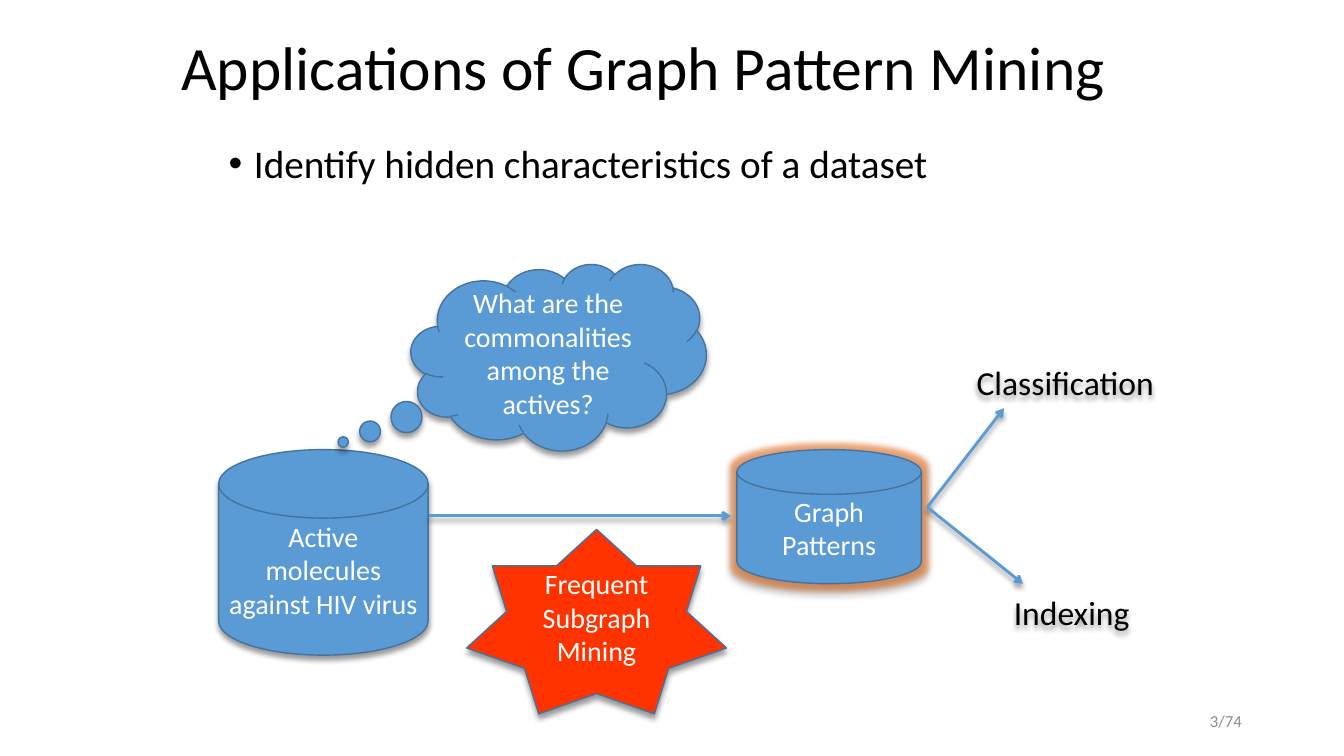
from lxml.etree import SubElement
from pptx import Presentation
from pptx.dml.color import RGBColor
from pptx.enum.shapes import MSO_CONNECTOR, MSO_SHAPE
from pptx.enum.text import MSO_ANCHOR as Anchor, PP_ALIGN as Align
from pptx.oxml.ns import qn
from pptx.util import Cm, Pt

BLACK = RGBColor(0x00, 0x00, 0x00)
WHITE = RGBColor(0xFF, 0xFF, 0xFF)
GREY = RGBColor(0x8C, 0x8C, 0x8C)
BLUE = RGBColor(0x5B, 0x9B, 0xD5)
OUTLINE = RGBColor(0x43, 0x73, 0x9E)
RED = RGBColor(0xFF, 0x33, 0x00)
ORANGE = RGBColor(0xED, 0x7D, 0x31)

SLIDE_SIZE = (33.87, 19.05)

# Boxes are left, top, width, height in cm.
TITLE = ("Applications of Graph Pattern Mining", (4.32, 0.2, 25.2, 3.18))
BULLET = ("Identify hidden characteristics of a dataset", (5.51, 3.51, 22.86, 13.84))
PAGE = ("3/74", (23.93, 17.65, 7.62, 1.02))

DISK = MSO_SHAPE.FLOWCHART_MAGNETIC_DISK
STEPS = [
    {"kind": DISK, "text": "Active\nmolecules against HIV virus",
     "box": (5.51, 11.33, 5.28, 5.18), "fill": BLUE},
    {"kind": DISK, "text": "Graph Patterns",
     "box": (18.57, 11.33, 4.65, 3.38), "fill": BLUE, "glow": True},
    {"kind": MSO_SHAPE.CLOUD_CALLOUT, "text": "What are the commonalities among the actives?",
     "box": (10.36, 6.65, 7.44, 4.7), "fill": BLUE, "tail": (-0.73, 0.455)},
    {"kind": MSO_SHAPE.STAR_7_POINT, "text": "Frequent Subgraph Mining",
     "box": (11.76, 13.34, 6.55, 4.65), "fill": RED},
]

USES = [
    ("Classification", (24.36, 8.99, 5.28, 1.27)),
    ("Indexing", (25.3, 14.78, 5.28, 1.27)),
]

FORK = (23.37, 12.78)
ARROWS = [
    ((10.8, 13), (18.42, 13)),
    (FORK, (25.3, 10.29)),
    (FORK, (25.78, 14.71)),
]

HEADING = {"line_spacing": 0.9}
BULLETED = {"line_spacing": 0.9, "space_before": Pt(10)}
CENTRED = {"alignment": Align.CENTER}
RIGHT = {"alignment": Align.RIGHT}


def cm(lengths):
    return [Cm(length) for length in lengths]


def add_effect(effects, tag, color, opacity, **attributes):
    effect = SubElement(effects, qn(tag), {k: str(v) for k, v in attributes.items()})
    tint = SubElement(effect, qn("a:srgbClr"), val=str(color))
    SubElement(tint, qn("a:alpha"), val=str(opacity * 1000))


def add_effects(item, glow=False):
    """Put a soft shadow below the item, and an orange glow around it if asked."""
    effects = SubElement(item._element.spPr, qn("a:effectLst"))
    if glow:
        add_effect(effects, "a:glow", ORANGE, 60, rad=Pt(8))
    add_effect(effects, "a:outerShdw", BLACK, 40, blurRad=Pt(4), dist=Pt(3),
               dir=90 * 60000, algn="t", rotWithShape=0)


def write(shape, text, size, color, anchor=Anchor.MIDDLE, layout=None):
    frame = shape.text_frame
    frame.word_wrap = True
    frame.vertical_anchor = anchor
    frame.text = text
    for paragraph in frame.paragraphs:
        for name, value in (layout or {}).items():
            setattr(paragraph, name, value)
        font = {"name": "Calibri", "size": Pt(size)}
        for run in paragraph.runs:
            for name, value in font.items():
                setattr(run.font, name, value)
            run.font.color.rgb = color


def add_text(slide, content, *style, **options):
    text, box = content
    textbox = slide.shapes.add_textbox(*cm(box))
    write(textbox, text, *style, **options)
    return textbox


def add_bullet(paragraph):
    properties = paragraph._p.get_or_add_pPr()
    indent = Cm(0.64)
    properties.set("marL", str(indent))
    properties.set("indent", str(-indent))
    SubElement(properties, qn("a:buFont"), typeface="Arial")
    SubElement(properties, qn("a:buChar"), char="•")


def add_step(slide, step):
    shape = slide.shapes.add_shape(step["kind"], *cm(step["box"]))
    for index, value in enumerate(step.get("tail", ())):
        shape.adjustments[index] = value
    shape.fill.solid()
    shape.fill.fore_color.rgb = step["fill"]
    shape.line.color.rgb = OUTLINE
    shape.line.width = Pt(1)
    add_effects(shape, step.get("glow", False))
    write(shape, step["text"], 20, WHITE, layout=CENTRED)


def add_arrow(slide, start, end):
    arrow = slide.shapes.add_connector(MSO_CONNECTOR.STRAIGHT, *cm(start + end))
    arrow.line.color.rgb = BLUE
    arrow.line.width = Pt(2)
    SubElement(arrow.line._get_or_add_ln(), qn("a:tailEnd"), type="arrow")
    add_effects(arrow)


def main():
    deck = Presentation()
    deck.slide_width, deck.slide_height = cm(SLIDE_SIZE)
    slide = deck.slides.add_slide(deck.slide_layouts[6])

    add_text(slide, TITLE, 44, BLACK, layout=HEADING)
    body = add_text(slide, BULLET, 28, BLACK, anchor=Anchor.TOP, layout=BULLETED)
    add_bullet(body.text_frame.paragraphs[0])

    for step in STEPS:
        add_step(slide, step)
    for start, end in ARROWS:
        add_arrow(slide, start, end)
    for use in USES:
        add_effects(add_text(slide, use, 24, BLACK, anchor=Anchor.TOP))

    add_text(slide, PAGE, 12, GREY, layout=RIGHT)
    deck.save("out.pptx")


if __name__ == "__main__":
    main()
